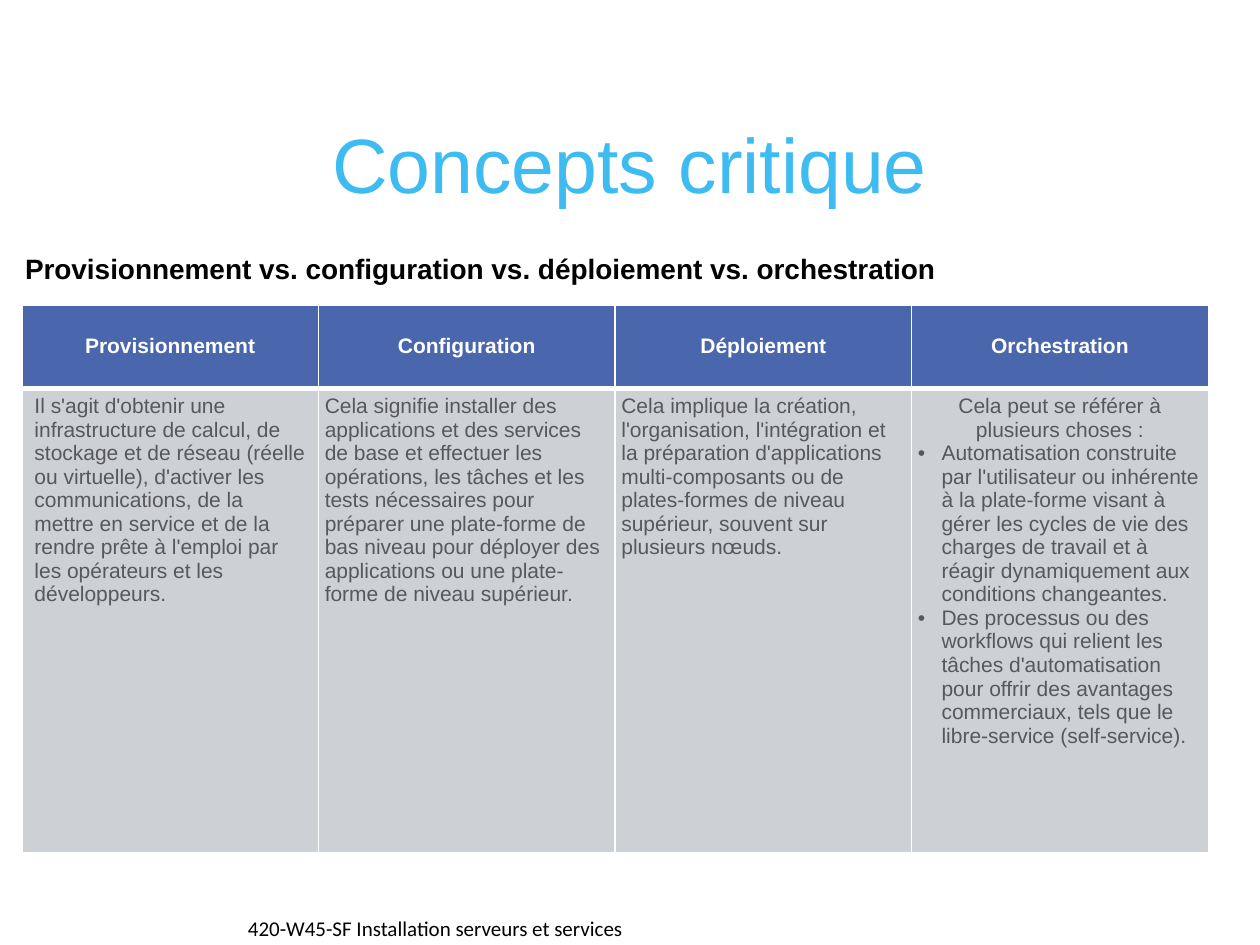
from dataclasses import dataclass

from lxml import etree
from pptx import Presentation
from pptx import util as u
from pptx.dml.color import RGBColor
from pptx.enum import text as t
from pptx.oxml import ns

WHITE = RGBColor(0xFF, 0xFF, 0xFF)
BLACK = RGBColor(0x00, 0x00, 0x00)
SKY = RGBColor(0x3E, 0xBB, 0xF0)
BLUE = RGBColor(0x4A, 0x66, 0xAC)
PALE_GREY = RGBColor(0xCD, 0xD0, 0xD4)
DARK_GREY = RGBColor(0x58, 0x58, 0x5B)

CENTER, LEFT = t.PP_ALIGN.CENTER, t.PP_ALIGN.LEFT
BULLET_INDENT = 13.5

TITLE_FONT = {"name": "Arial", "size": u.Pt(44), "bold": False}
SUBTITLE_FONT = {"name": "Arial", "size": u.Pt(16), "bold": True}
FOOTER_FONT = {"name": "Calibri", "size": u.Pt(12), "bold": False}
HEADER_FONT = {"name": "Arial", "size": u.Pt(12), "bold": True}
BODY_FONT = {"name": "Arial", "size": u.Pt(12), "bold": False}


@dataclass
class Concept:
    name: str
    description: str
    side_margin: float = 3.6
    align: t.PP_ALIGN = LEFT
    points: tuple[str, ...] = ()


CONCEPTS = [
    Concept(
        "Provisionnement",
        "Il s'agit d'obtenir une infrastructure de calcul, de stockage et de "
        "réseau (réelle ou virtuelle), d'activer les communications, de la "
        "mettre en service et de la rendre prête à l'emploi par les opérateurs "
        "et les développeurs.",
        side_margin=7.2,
    ),
    Concept(
        "Configuration",
        "Cela signifie installer des applications et des services de base et "
        "effectuer les opérations, les tâches et les tests nécessaires pour "
        "préparer une plate-forme de bas niveau pour déployer des applications "
        "ou une plate-forme de niveau supérieur.",
    ),
    Concept(
        "Déploiement",
        "Cela implique la création, l'organisation, l'intégration et la "
        "préparation d'applications multi-composants ou de plates-formes de "
        "niveau supérieur, souvent sur plusieurs nœuds.",
    ),
    Concept(
        "Orchestration",
        "Cela peut se référer à plusieurs choses :",
        align=CENTER,
        points=(
            "Automatisation construite par l'utilisateur ou inhérente à la "
            "plate-forme visant à gérer les cycles de vie des charges de "
            "travail et à réagir dynamiquement aux conditions changeantes.",
            "Des processus ou des workflows qui relient les tâches "
            "d'automatisation pour offrir des avantages commerciaux, tels que "
            "le libre-service (self-service).",
        ),
    ),
]


def write(paragraph, wording: str, font: dict, color: RGBColor, align=LEFT) -> None:
    paragraph.alignment = align
    run = paragraph.add_run()
    run.text = wording
    for key, value in font.items():
        setattr(run.font, key, value)
    run.font.color.rgb = color


def add_bullet(paragraph) -> None:
    paragraph.level = 1
    properties = paragraph._p.get_or_add_pPr()
    properties.set("marL", str(u.Pt(BULLET_INDENT)))
    properties.set("indent", str(-u.Pt(BULLET_INDENT)))
    etree.SubElement(properties, ns.qn("a:buFont"), typeface="Arial")
    etree.SubElement(properties, ns.qn("a:buChar"), char="•")


def add_text(slide, box: tuple, wording: str, font: dict) -> None:
    frame = slide.shapes.add_textbox(*map(u.Pt, box)).text_frame
    frame.word_wrap = True
    write(frame.paragraphs[0], wording, font, BLACK)


def format_cell(cell, fill: RGBColor, side_margin: float, anchor, top: float, bottom: float) -> None:
    layout = {
        "margin_left": u.Pt(side_margin),
        "margin_right": u.Pt(side_margin),
        "margin_top": u.Pt(3.6),
        "margin_bottom": u.Pt(3.6),
        "vertical_anchor": anchor,
    }
    for key, value in layout.items():
        setattr(cell, key, value)
    # Borders come before the fill in the cell properties
    properties = cell._tc.get_or_add_tcPr()
    for side, width in (("L", 1), ("R", 1), ("T", top), ("B", bottom)):
        line = etree.SubElement(properties, ns.qn(f"a:ln{side}"), w=str(u.Pt(width)))
        solid = etree.SubElement(line, ns.qn("a:solidFill"))
        etree.SubElement(solid, ns.qn("a:srgbClr"), val=str(WHITE))
    cell.fill.solid()
    cell.fill.fore_color.rgb = fill


def add_concept_table(slide, concepts: list[Concept]) -> None:
    column_width, row_heights = 169.5, (47.8, 265.2)
    table = slide.shapes.add_table(
        2, len(concepts), u.Pt(12.5), u.Pt(174.2),
        u.Pt(column_width * len(concepts)), u.Pt(sum(row_heights)),
    ).table
    for row, height in zip(table.rows, row_heights):
        row.height = u.Pt(height)
    for index, concept in enumerate(concepts):
        table.columns[index].width = u.Pt(column_width)

        heading = table.cell(0, index)
        format_cell(heading, BLUE, 7.2, t.MSO_ANCHOR.MIDDLE, top=1, bottom=3)
        write(heading.text_frame.paragraphs[0], concept.name, HEADER_FONT, WHITE, CENTER)

        body = table.cell(1, index)
        format_cell(body, PALE_GREY, concept.side_margin, t.MSO_ANCHOR.TOP, top=3, bottom=1)
        write(body.text_frame.paragraphs[0], concept.description, BODY_FONT, DARK_GREY, concept.align)
        for point in concept.points:
            paragraph = body.text_frame.add_paragraph()
            write(paragraph, point, BODY_FONT, DARK_GREY)
            add_bullet(paragraph)


def main() -> None:
    deck = Presentation()
    deck.slide_width, deck.slide_height = u.Pt(720), u.Pt(540)
    slide = deck.slides.add_slide(deck.slide_layouts[5])

    # Title
    title = slide.shapes.title
    title.left, title.top, title.width, title.height = map(u.Pt, (54, 48, 612, 90))
    title.text_frame.auto_size = t.MSO_AUTO_SIZE.NONE
    title.text_frame.vertical_anchor = t.MSO_ANCHOR.MIDDLE
    write(title.text_frame.paragraphs[0], "Concepts critique", TITLE_FONT, SKY, CENTER)

    # Subtitle and footer
    add_text(
        slide, (7.2, 140.4, 697.7, 26.6),
        "Provisionnement vs. configuration vs. déploiement vs. orchestration", SUBTITLE_FONT,
    )
    add_text(
        slide, (134.6, 519.8, 260, 21.6),
        "420-W45-SF Installation serveurs et services", FOOTER_FONT,
    )

    # Comparison of the four concepts
    add_concept_table(slide, CONCEPTS)

    deck.save("out.pptx")


if __name__ == "__main__":
    main()
